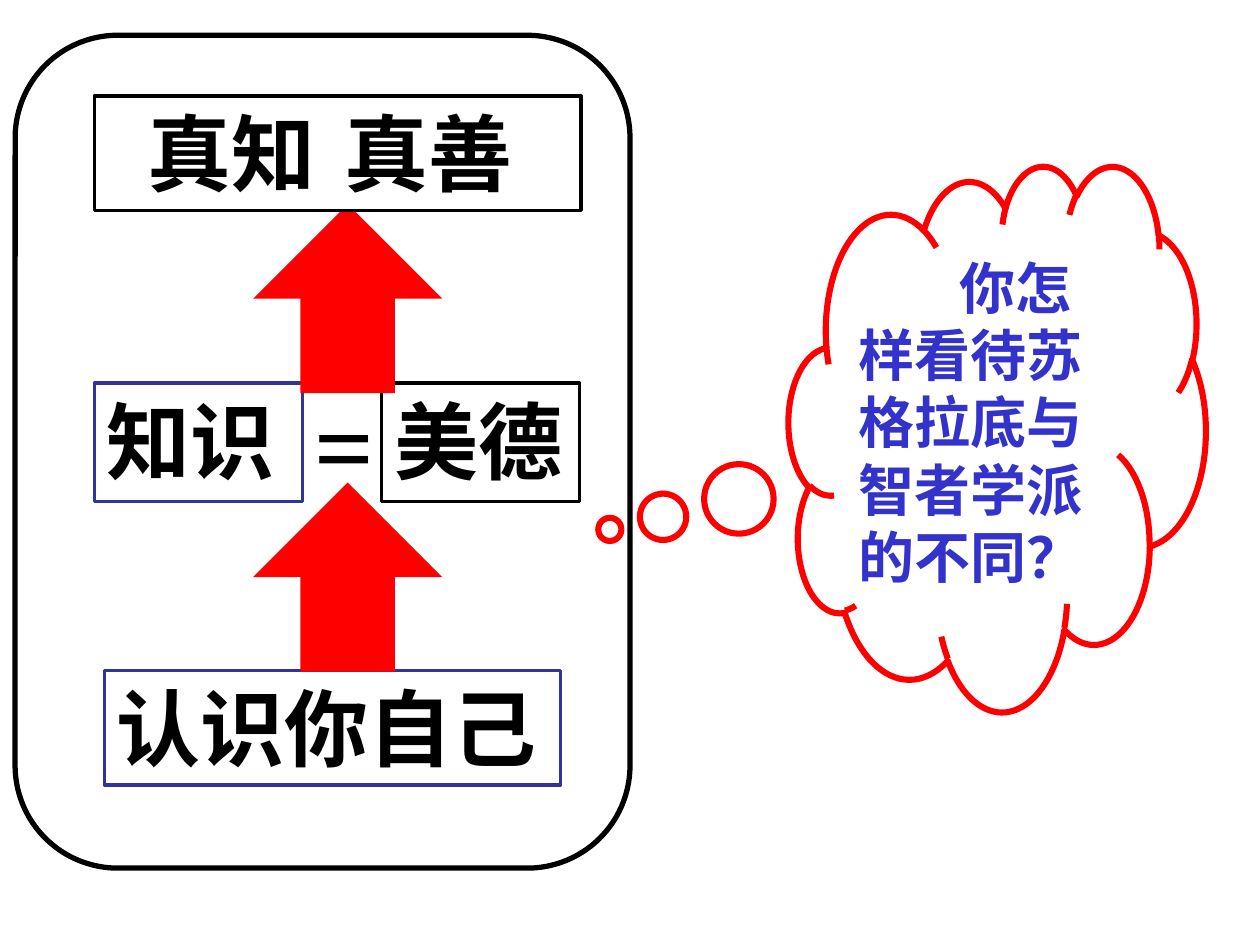
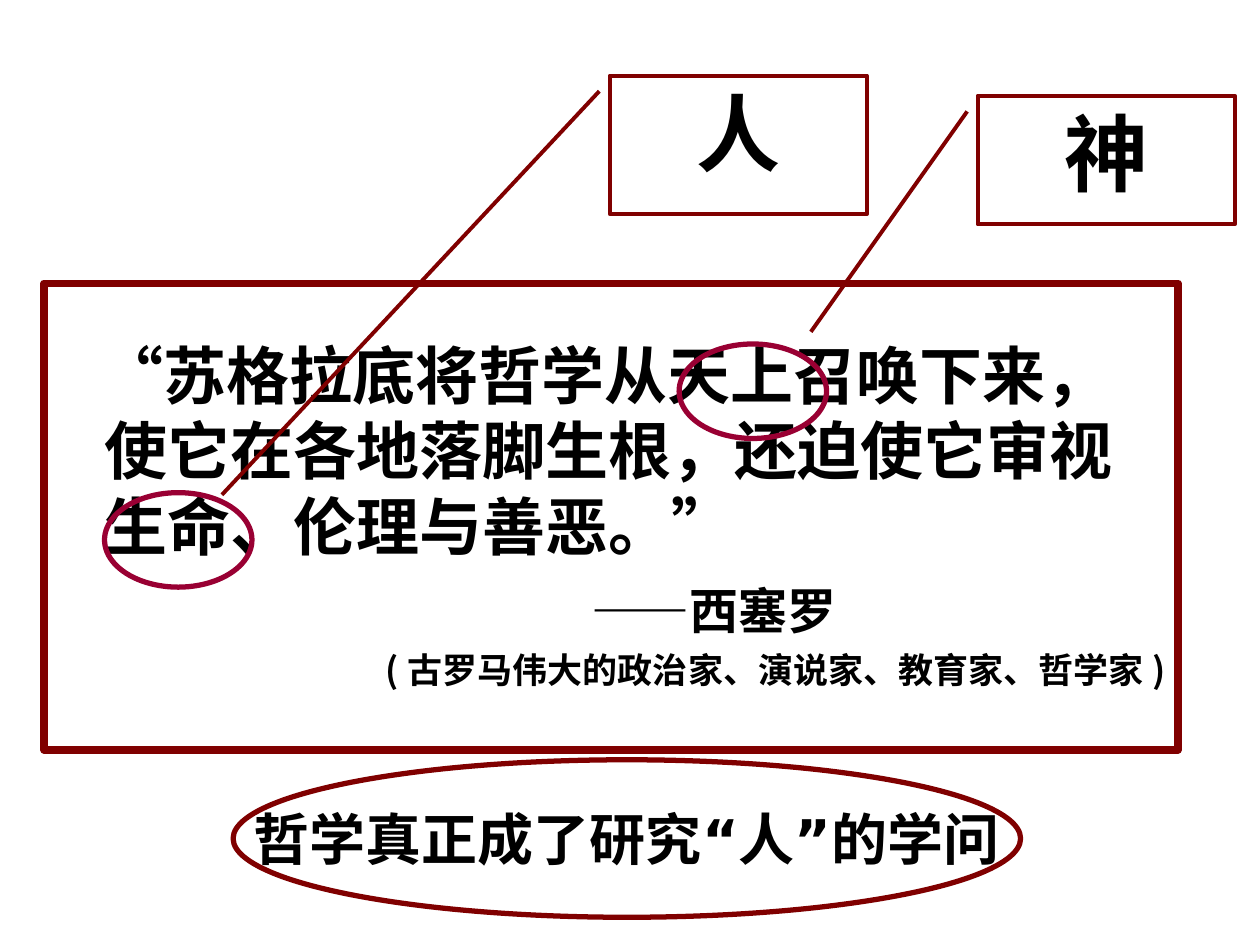
import pptx
import pptx.util
import pptx.dml.color
import pptx.enum.shapes
import pptx.enum.text
import pptx.oxml.ns

Inches = pptx.util.Inches
Kind = pptx.enum.shapes.MSO_SHAPE
Align = pptx.enum.text.PP_ALIGN
Anchor = pptx.enum.text.MSO_ANCHOR
COLORS = {
    "white": "FFFFFF", "black": "000000", "red": "FF0000", "blue": "3333CC",
    "navy": "333399", "maroon": "800000", "crimson": "990033",
}
CJK_FONT = "DejaVu Sans"
QUOTE_FONT = "Noto Sans CJK SC"


def color(name):
    """Return the palette colour as an RGBColor."""
    return pptx.dml.color.RGBColor.from_string(COLORS[name])


def add_outline(slide, kind, box, line=None, width=2, fill=None, adjustments=()):
    """Add a flat preset shape with top-anchored text."""
    shape = slide.shapes.add_shape(kind, *map(Inches, box))
    shape.shadow.inherit = False
    for index, value in enumerate(adjustments):
        shape.adjustments[index] = value
    if fill:
        shape.fill.solid()
        shape.fill.fore_color.rgb = color(fill)
    else:
        shape.fill.background()
    if line:
        shape.line.color.rgb = color(line)
        shape.line.width = pptx.util.Pt(width)
    else:
        shape.line.fill.background()
    shape.text_frame.vertical_anchor = Anchor.TOP
    return shape


def write(paragraph, runs, size, font=CJK_FONT, ink="black", align=Align.LEFT,
          margin=0, indent=0, before=0):
    """Fill a paragraph with bold runs, each a text and its East Asian font."""
    paragraph.alignment = align
    paragraph.space_before = pptx.util.Pt(before)
    properties = paragraph._p.get_or_add_pPr()
    properties.set("marL", str(Inches(margin)))
    properties.set("indent", str(Inches(indent)))
    for text, east_font in runs:
        run = paragraph.add_run()
        run.text = text
        run.font.name = east_font if east_font == QUOTE_FONT else font
        run.font.size = pptx.util.Pt(size)
        run.font.bold = True
        run.font.color.rgb = color(ink)
        east_asian = run._r.get_or_add_rPr().makeelement(
            pptx.oxml.ns.qn("a:ea"), {"typeface": east_font})
        run.font._element.find(pptx.oxml.ns.qn("a:latin")).addnext(east_asian)


def add_label(slide, box, text, line, indent=0):
    """Add a white box holding one large term."""
    label = add_outline(slide, Kind.RECTANGLE, box, line, fill="white")
    write(label.text_frame.paragraphs[0], [(text, CJK_FONT)], 48, "Arial", indent=indent)


def add_question_cloud(slide, left, top):
    """Add the thought cloud with its question."""
    cloud = add_outline(slide, Kind.CLOUD_CALLOUT, (left, top, 3.31, 4.33), "red", 3.5,
                        "white", (-0.929, 0.168))
    write(cloud.text_frame.paragraphs[0],
          [("你怎样看待苏格拉底与智者学派的不同？", CJK_FONT)],
          32, "Times New Roman", "blue", indent=0.8)


def add_knowledge_ladder(slide, left, top):
    """Add the framed ladder from self-knowledge up to true goodness."""
    add_label(slide, (left + 0.71, top + 5.04, 3.62, 0.91), "认识你自己", "navy")
    add_label(slide, (left + 0.63, top + 2.76, 1.65, 0.94), "知识", "navy")
    add_label(slide, (left + 2.91, top + 2.76, 1.57, 0.94), "美德", "black")
    equals = slide.shapes.add_textbox(
        *map(Inches, (left + 2.28, top + 2.68, 1.5, 1.11)))
    equals.text_frame.word_wrap = True
    write(equals.text_frame.paragraphs[0], [("=", CJK_FONT)], 60, "Times New Roman")
    for offset in (3.55, 1.34):
        add_outline(slide, Kind.UP_ARROW, (left + 1.89, top + offset, 1.5, 1.5), fill="red")
    add_label(slide, (left + 0.63, top + 0.48, 3.86, 0.91), "真知 真善", "black", 0.32)
    add_outline(slide, Kind.ROUNDED_RECTANGLE, (left, top, 4.88, 6.61), "black", 3,
                adjustments=(0.167,))


def add_quotation(slide, box):
    """Add the framed quotation with its source."""
    panel = add_outline(slide, Kind.RECTANGLE, box, "maroon", 4.5, "white")
    frame = panel.text_frame
    frame.margin_top = Inches(0.42)
    write(frame.paragraphs[0], [
        ("“", QUOTE_FONT),
        ("苏格拉底将哲学从天上召唤下来，使它在各地落脚生根，还迫使它审视生命、伦理与善恶。", CJK_FONT),
        ("”", QUOTE_FONT),
    ], 36, margin=0.38, indent=-0.03)
    write(frame.add_paragraph(), [("——", QUOTE_FONT), ("西塞罗", CJK_FONT)], 28,
          margin=4.25, before=10)
    write(frame.add_paragraph(),
          [("(古罗马伟大的政治家、演说家、教育家、哲学家)", QUOTE_FONT)], 20,
          align=Align.RIGHT, before=5)


def add_callout(slide, box, text, pointer):
    """Add a callout whose pointer leads into the quotation."""
    callout = add_outline(slide, Kind.LINE_CALLOUT_1, box, "maroon", 2.25,
                          adjustments=pointer)
    write(callout.text_frame.paragraphs[0], [(text, CJK_FONT)], 48, align=Align.CENTER)


def add_conclusion(slide, box):
    """Add the ellipse with the concluding sentence."""
    ellipse = add_outline(slide, Kind.OVAL, box, "maroon", 3)
    ellipse.text_frame.word_wrap = False
    ellipse.text_frame.vertical_anchor = Anchor.MIDDLE
    write(ellipse.text_frame.paragraphs[0], [("哲学真正成了研究“人”的学问", CJK_FONT)], 32,
          align=Align.CENTER)


def build_ladder_slide(slide):
    """Build the slide on knowledge and virtue."""
    add_question_cloud(slide, 6.26, 1.31)
    add_knowledge_ladder(slide, 0.12, 0.28)


def build_quotation_slide(slide):
    """Build the slide with the annotated quotation."""
    add_quotation(slide, (0.35, 2.25, 9, 3.7))
    add_callout(slide, (7.76, 0.76, 2.04, 1.02), "神", (0.122, -0.041, 1.837, -0.649))
    add_callout(slide, (4.84, 0.6, 2.04, 1.1), "人", (0.113, -0.041, 3.025, -1.509))
    for left, top in ((5.39, 2.73), (0.83, 3.91)):
        add_outline(slide, Kind.OVAL, (left, top, 1.17, 0.75), "crimson", 3)
    add_conclusion(slide, (1.85, 6.03, 6.25, 1.25))


def main():
    """Build and save the presentation."""
    presentation = pptx.Presentation()
    presentation.slide_width = Inches(10)
    presentation.slide_height = Inches(7.5)
    for build in (build_ladder_slide, build_quotation_slide):
        build(presentation.slides.add_slide(presentation.slide_layouts[6]))
    presentation.save("out.pptx")


if __name__ == "__main__":
    main()
